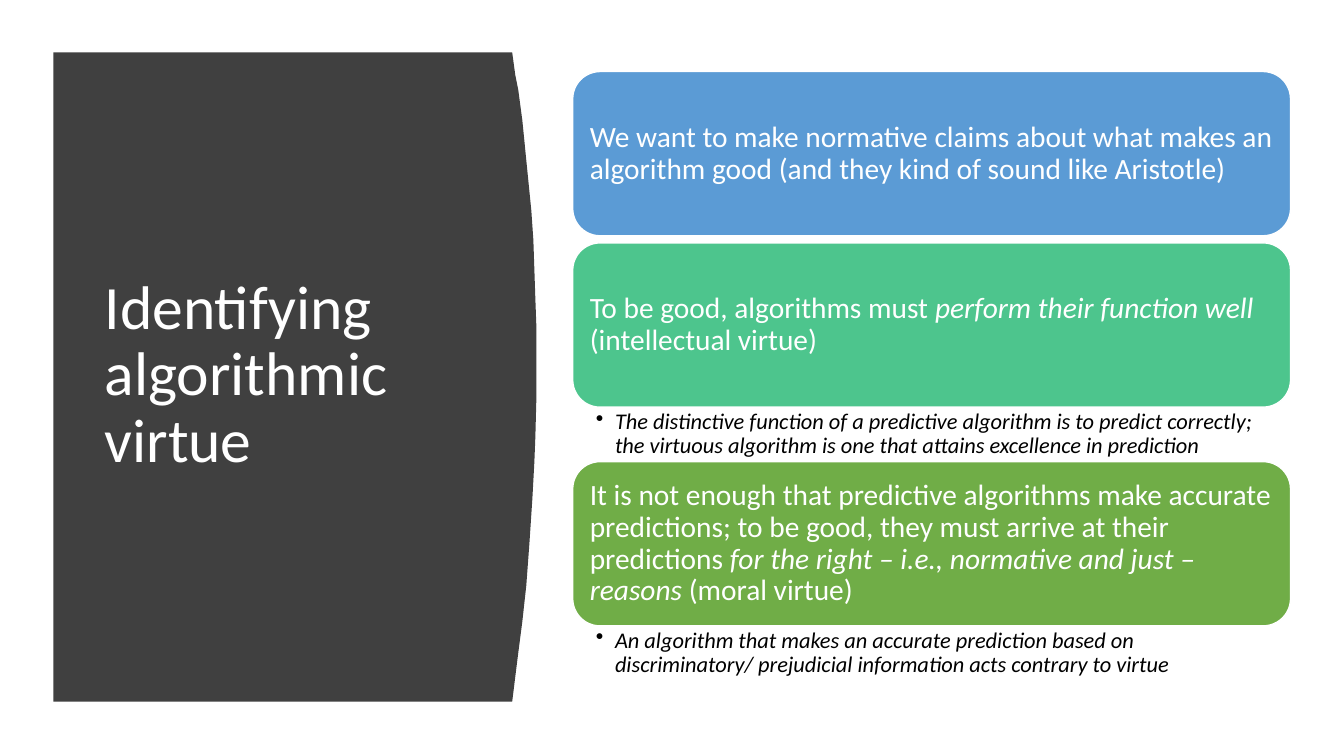
import pptx
import pptx.util
import pptx.dml.color
import pptx.enum.shapes
import pptx.enum.text
from lxml import etree

Inches, Pt = pptx.util.Inches, pptx.util.Pt

COLORS = {"panel": "404040", "white": "FFFFFF", "black": "000000",
          "blue": "5B9BD5", "teal": "4DC58D", "green": "70AD47"}

PANEL_LEFT, PANEL_TOP, PANEL_BOTTOM = 0.53, 0.52, 6.96
CURVED_EDGE = [(5.08, 0.52), (5.11, 0.74), (5.14, 0.89), (5.18, 1.19), (5.21, 1.49),
               (5.24, 1.79), (5.27, 2.09), (5.29, 2.38), (5.3, 2.68), (5.31, 2.97),
               (5.32, 3.25), (5.32, 3.94), (5.31, 4.33), (5.3, 4.58), (5.28, 4.95),
               (5.25, 5.4), (5.22, 5.81), (5.18, 6.17), (5.14, 6.48), (5.11, 6.72),
               (5.08, 6.96)]

CARD_LEFT, CARD_TOP, CARD_WIDTH, CARD_HEIGHT = 5.68, 0.71, 7.12, 1.63
NOTE_HEIGHT, CARD_GAP = 0.54, 0.07

# Each claim: fill colour, (words, italic) pieces, supporting note
CLAIMS = [
    ("blue",
     [("We want to make normative claims about what makes an algorithm good "
       "(and they kind of sound like Aristotle)", False)],
     None),
    ("teal",
     [("To be good, algorithms must ", False),
      ("perform their function well ", True),
      ("(intellectual virtue)", False)],
     "The distinctive function of a predictive algorithm is to predict correctly; "
     "the virtuous algorithm is one that attains excellence in prediction"),
    ("green",
     [("It is not enough that predictive algorithms make accurate predictions; "
       "to be good, they must arrive at their predictions ", False),
      ("for the right – i.e., normative and just – reasons ", True),
      ("(moral virtue)", False)],
     "An algorithm that makes an accurate prediction based on "
     "discriminatory/ prejudicial information acts contrary to virtue"),
]


class SlideBuilder:
    font_name = "Calibri"
    line_spacing = 0.9

    def __init__(self, slide):
        self.slide = slide

    def color(self, name):
        return pptx.dml.color.RGBColor.from_string(COLORS[name])

    def paint(self, shape, fill, line=None):
        shape.shadow.inherit = False
        shape.fill.solid()
        shape.fill.fore_color.rgb = self.color(fill)
        if line:
            shape.line.color.rgb = self.color(line)
            shape.line.width = Pt(1)
        else:
            shape.line.fill.background()

    def set_words(self, shape, pieces, size, color, margins, middle=True, bullet=False):
        """Fill a shape with one paragraph; margins are left, top, right, bottom."""
        frame = shape.text_frame
        frame.word_wrap = True
        anchor = pptx.enum.text.MSO_ANCHOR
        frame.vertical_anchor = anchor.MIDDLE if middle else anchor.TOP
        (frame.margin_left, frame.margin_top,
         frame.margin_right, frame.margin_bottom) = map(Inches, margins)
        paragraph = frame.paragraphs[0]
        paragraph.alignment = pptx.enum.text.PP_ALIGN.LEFT
        paragraph.line_spacing = self.line_spacing
        if bullet:
            self.add_bullet(paragraph)
        for words, italic in pieces:
            run = paragraph.add_run()
            run.text = words
            run.font.name = self.font_name
            run.font.size = Pt(size)
            run.font.italic = italic
            run.font.color.rgb = self.color(color)

    def add_bullet(self, paragraph):
        properties = paragraph._p.get_or_add_pPr()
        properties.set("marL", str(Inches(0.19)))
        properties.set("indent", str(-Inches(0.19)))
        mark = etree.SubElement(properties, pptx.oxml.ns.qn("a:buChar"))
        mark.set("char", "•")

    def panel(self):
        """Draw the dark title panel with its bulging right edge."""
        builder = self.slide.shapes.build_freeform(
            Inches(PANEL_LEFT), Inches(PANEL_TOP), scale=1.0)
        outline = CURVED_EDGE + [(PANEL_LEFT, PANEL_BOTTOM)]
        builder.add_line_segments([(Inches(x), Inches(y)) for x, y in outline], close=True)
        self.paint(builder.convert_to_shape(), "panel")

    def title(self, words):
        box = self.slide.shapes.add_textbox(
            Inches(0.94), Inches(1.11), Inches(3.74), Inches(5.24))
        self.set_words(box, [(words, False)], 44, "white", (0.1, 0.05, 0.1, 0.05))

    def card(self, top, fill, pieces):
        card = self.slide.shapes.add_shape(
            pptx.enum.shapes.MSO_SHAPE.ROUNDED_RECTANGLE,
            Inches(CARD_LEFT), Inches(top), Inches(CARD_WIDTH), Inches(CARD_HEIGHT))
        self.paint(card, fill, line="white")
        # The rounded corners add 0.08 to these margins
        self.set_words(card, pieces, 21, "white", (0.09,) * 4)

    def note(self, top, words):
        box = self.slide.shapes.add_textbox(
            Inches(CARD_LEFT), Inches(top), Inches(CARD_WIDTH), Inches(NOTE_HEIGHT))
        self.set_words(box, [(words, True)], 16, "black", (0.23, 0.03, 0.16, 0.03),
                       middle=False, bullet=True)


def main():
    deck = pptx.Presentation()
    deck.slide_width, deck.slide_height = Inches(13.33), Inches(7.5)
    builder = SlideBuilder(deck.slides.add_slide(deck.slide_layouts[6]))
    builder.panel()
    builder.title("Identifying algorithmic virtue")
    top = CARD_TOP
    for fill, pieces, note in CLAIMS:
        builder.card(top, fill, pieces)
        top += CARD_HEIGHT
        if note:
            builder.note(top, note)
        top += NOTE_HEIGHT if note else CARD_GAP
    deck.save("out.pptx")


if __name__ == "__main__":
    main()
